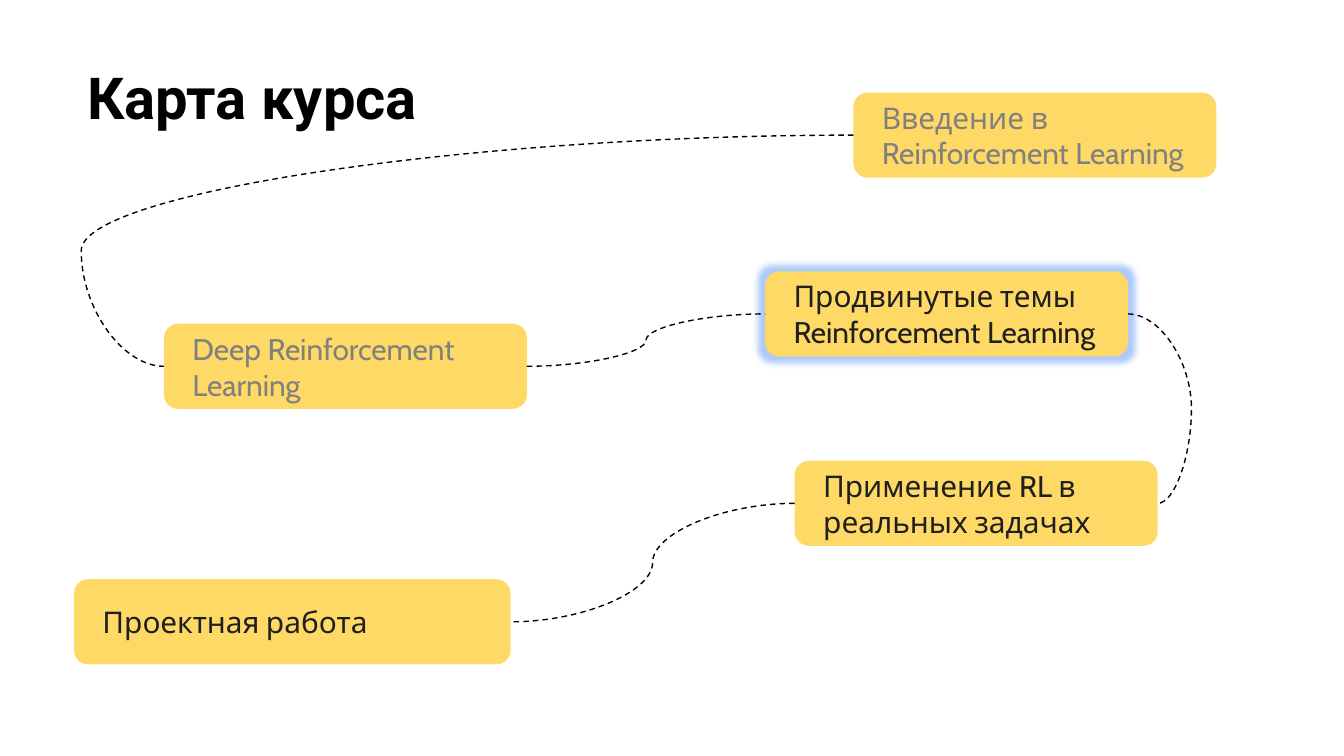
from dataclasses import dataclass

from lxml import etree
from pptx import Presentation
from pptx.dml.color import RGBColor
from pptx.enum.dml import MSO_LINE
from pptx.enum.shapes import MSO_CONNECTOR, MSO_SHAPE
from pptx.enum.text import MSO_ANCHOR, MSO_AUTO_SIZE, PP_ALIGN
from pptx.oxml.ns import qn
from pptx.util import Cm, Pt

ROUNDED = MSO_SHAPE.ROUNDED_RECTANGLE
CURVE = MSO_CONNECTOR.CURVE
DASH = MSO_LINE.DASH
LEFT_ALIGNED = PP_ALIGN.LEFT
TOP, MIDDLE = MSO_ANCHOR.TOP, MSO_ANCHOR.MIDDLE

BLACK, DARK, GREY = "000000", "1F1F1F", "808080"
YELLOW, GLOW_BLUE = "FFD966", "5B95F9"
STOP_HEIGHT = 1.61


@dataclass
class Stop:
    """A course section; lengths in centimetres."""
    label: str
    left: float
    top: float
    width: float = 6.86
    color: str = DARK
    current: bool = False

    @property
    def right(self) -> float:
        return self.left + self.width

    @property
    def middle(self) -> float:
        return self.top + STOP_HEIGHT / 2


def rgb(color: str) -> RGBColor:
    return RGBColor.from_string(color)


def set_insets(frame, side: float, vertical: float) -> None:
    frame.margin_left = frame.margin_right = Cm(side)
    frame.margin_top = frame.margin_bottom = Cm(vertical)


def style_text(paragraph, font_name: str, size: float, color: str, bold: bool) -> None:
    paragraph.alignment = LEFT_ALIGNED
    font = paragraph.font
    font.name, font.size, font.bold = font_name, Pt(size), bold
    font.color.rgb = rgb(color)


def add_glow(shape) -> None:
    effects = shape._element.spPr.find(qn("a:effectLst"))
    glow = etree.SubElement(effects, qn("a:glow"), rad=str(Cm(0.25)))
    color = etree.SubElement(glow, qn("a:srgbClr"), val=GLOW_BLUE)
    etree.SubElement(color, qn("a:alpha"), val="50000")


def draw_stop(slide, stop: Stop) -> None:
    box = slide.shapes.add_shape(
        ROUNDED, Cm(stop.left), Cm(stop.top), Cm(stop.width), Cm(STOP_HEIGHT))
    box.shadow.inherit = False
    box.fill.solid()
    box.fill.fore_color.rgb = rgb(YELLOW)
    box.line.fill.background()
    if stop.current:
        add_glow(box)
    frame = box.text_frame
    frame.word_wrap = True
    frame.vertical_anchor = MIDDLE
    set_insets(frame, 0.46, 0.25)
    frame.text = stop.label
    style_text(frame.paragraphs[0], "Cabin", 16, stop.color, False)


def draw_path(slide, start: tuple[float, float], end: tuple[float, float],
              bend: float = 0.5) -> None:
    """Dashed curve; bend is the turn's place as a share of the width."""
    curve = slide.shapes.add_connector(CURVE, *map(Cm, start + end))
    curve.line.color.rgb = rgb(BLACK)
    curve.line.width = Pt(0.75)
    curve.line.dash_style = DASH
    properties = curve._element.spPr
    etree.SubElement(properties, qn("a:effectLst"))
    geometry = properties.find(qn("a:prstGeom"))
    guides = geometry.find(qn("a:avLst"))
    if guides is None:
        guides = etree.SubElement(geometry, qn("a:avLst"))
    etree.SubElement(guides, qn("a:gd"), name="adj1", fmla=f"val {round(bend * 100000)}")


def main() -> None:
    prs = Presentation()
    prs.slide_width, prs.slide_height = Cm(25.4), Cm(14.29)
    slide = prs.slides.add_slide(prs.slide_layouts[5])

    # Title
    title = slide.shapes.title
    title.left, title.top, title.width, title.height = map(Cm, (1.4, 0.91, 23.67, 3.05))
    frame = title.text_frame
    frame.text = "Карта курса"
    frame.word_wrap = True
    frame.auto_size = MSO_AUTO_SIZE.NONE
    frame.vertical_anchor = TOP
    set_insets(frame, 0.25, 0.25)
    style_text(frame.paragraphs[0], "Roboto", 31, BLACK, True)

    # Course sections
    intro = Stop("Введение в Reinforcement Learning", 16.13, 1.75, color=GREY)
    deep = Stop("Deep Reinforcement Learning", 3.1, 6.12, color=GREY)
    advanced = Stop("Продвинутые темы Reinforcement Learning", 14.46, 5.13, current=True)
    project = Stop("Проектная работа", 1.4, 10.95, width=8.25)
    applied = Stop("Применение RL в реальных задачах", 15.02, 8.71)
    for stop in (intro, deep, advanced, project, applied):
        draw_stop(slide, stop)

    # Route between the sections
    draw_path(slide, (deep.right, deep.middle), (advanced.left, advanced.middle))
    draw_path(slide, (intro.left, intro.middle), (deep.left, deep.middle), 1.12)
    draw_path(slide, (advanced.right, advanced.middle), (applied.right, applied.middle), 2.14)
    draw_path(slide, (applied.left, applied.middle), (project.right, project.middle))

    prs.save("out.pptx")


if __name__ == "__main__":
    main()
